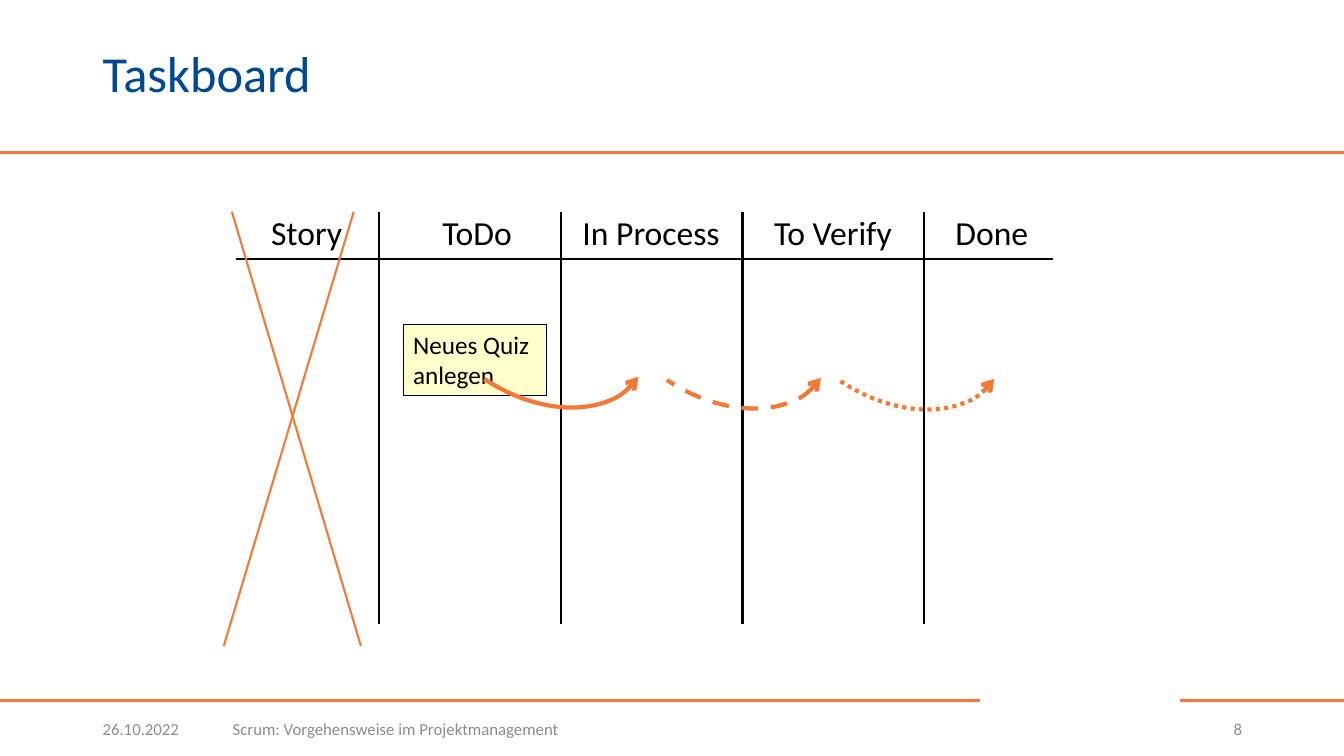
from lxml.etree import SubElement
from pptx import Presentation
from pptx.dml.color import RGBColor
from pptx.enum.dml import MSO_LINE
from pptx.enum.shapes import MSO_CONNECTOR, MSO_SHAPE
from pptx.enum.text import MSO_ANCHOR, MSO_AUTO_SIZE, PP_ALIGN
from pptx.oxml.ns import qn
from pptx.util import Pt

# Content (lengths in points)
TITLE = "Taskboard"
CARD = "Neues Quiz anlegen"
COLUMNS = [  # heading, left, width
    ("Story", 186.5, 65.5),
    ("ToDo", 308.9, 64.8),
    ("In Process", 409, 113),
    ("To Verify", 545.8, 99.4),
    ("Done", 675.4, 67),
]
FOOTER = [  # text, left, width, alignment
    ("26.10.2022", 66.2, 84.2, PP_ALIGN.LEFT),
    ("Scrum: Vorgehensweise im Projektmanagement", 159.1, 666.7, PP_ALIGN.LEFT),
    ("8", 837.4, 56.9, PP_ALIGN.RIGHT),
]
MOVES = [  # left, top, dash of each arrow between columns
    (318.2, 128.2, MSO_LINE.SOLID),
    (448.6, 128.9, MSO_LINE.DASH),
    (572.4, 129.6, MSO_LINE.ROUND_DOT),
]
FRAME_RULES = [(0, 108.7, 960), (0, 500.4, 699.8), (843.1, 500.4, 960)]  # left, y, right
CROSS = [(159.8, 461.5, 252.7, 151.2), (257.8, 461.5, 165.6, 151.2)]

# Board geometry
BOARD_TOP, BOARD_BOTTOM = 151.2, 445.7
BOARD_LEFT, BOARD_RIGHT, HEADING_LINE = 168.5, 752.4, 185
FIRST_DIVIDER, DIVIDER_STEP = 270.6, 129.9

FONT = "Calibri"
BLACK, BLUE, GREY, YELLOW = "000000", "004990", "8C8C8C", "FFFFCC"
FRAME_ORANGE, ORANGE = "F47936", "F47836"


def color(value):
    return RGBColor.from_string(value)


def write(shape, text, size, ink=BLACK, align=PP_ALIGN.LEFT, anchor=MSO_ANCHOR.TOP,
          wrap=True, grow=False, spacing=None):
    frame = shape.text_frame
    frame.word_wrap = wrap
    frame.auto_size = MSO_AUTO_SIZE.SHAPE_TO_FIT_TEXT if grow else MSO_AUTO_SIZE.NONE
    frame.vertical_anchor = anchor
    paragraph = frame.paragraphs[0]
    paragraph.alignment = align
    if spacing:
        paragraph.line_spacing = spacing
    run = paragraph.add_run()
    run.text = text
    run.font.name = FONT
    run.font.size = Pt(size)
    run.font.color.rgb = color(ink)


def add_text(slide, text, left, top, width, height, **style):
    box = slide.shapes.add_textbox(Pt(left), Pt(top), Pt(width), Pt(height))
    write(box, text, **style)


def add_line(slide, x1, y1, x2, y2, ink=BLACK, weight=1.5):
    line = slide.shapes.add_connector(MSO_CONNECTOR.STRAIGHT, Pt(x1), Pt(y1), Pt(x2), Pt(y2))
    line.line.color.rgb = color(ink)
    line.line.width = Pt(weight)
    SubElement(line.element.spPr, qn("a:effectLst"))


def add_shape(slide, kind, left, top, width, height, ink, weight, fill=None):
    shape = slide.shapes.add_shape(kind, Pt(left), Pt(top), Pt(width), Pt(height))
    shape.shadow.inherit = False
    if fill:
        shape.fill.solid()
        shape.fill.fore_color.rgb = color(fill)
    else:
        shape.fill.background()
    shape.line.color.rgb = color(ink)
    shape.line.width = Pt(weight)
    return shape


def add_move(slide, left, top, dash):
    arc = add_shape(slide, MSO_SHAPE.ARC, left, top, 124.6, 181.4, ORANGE, 3)
    arc.rotation = 123.7
    arc.line.dash_style = dash
    SubElement(arc.element.spPr.find(qn("a:ln")), qn("a:headEnd"), type="arrow")


def main():
    presentation = Presentation()
    presentation.slide_width, presentation.slide_height = Pt(960), Pt(540)
    slide = presentation.slides.add_slide(presentation.slide_layouts[5])

    # Frame lines and title
    for left, y, right in FRAME_RULES:
        add_line(slide, left, y, right, y, ink=FRAME_ORANGE, weight=2)
    title = slide.shapes.title
    title.left, title.top, title.width, title.height = Pt(66.2), Pt(12.2), Pt(828), Pt(85)
    write(title, TITLE, size=36, ink=BLUE, anchor=MSO_ANCHOR.MIDDLE, spacing=0.9)

    # Board grid and headings
    for index in range(len(COLUMNS) - 1):
        x = FIRST_DIVIDER + index * DIVIDER_STEP
        add_line(slide, x, BOARD_BOTTOM, x, BOARD_TOP)
    add_line(slide, BOARD_RIGHT, HEADING_LINE, BOARD_LEFT, HEADING_LINE)
    for heading, left, width in COLUMNS:
        add_text(slide, heading, left, 147.6, width, 36, size=24, wrap=False, grow=True)

    # Task card and its moves across the board
    card = add_shape(slide, MSO_SHAPE.RECTANGLE, 288, 231.8, 102.2, 51, BLACK, 0.75, YELLOW)
    write(card, CARD, size=18, grow=True)
    for move in MOVES:
        add_move(slide, *move)

    # Crossed-out story column
    for ends in CROSS:
        add_line(slide, *ends, ink=ORANGE)

    # Footer
    for text, left, width, align in FOOTER:
        add_text(slide, text, left, 506.2, width, 28.8, size=12, ink=GREY,
                 align=align, anchor=MSO_ANCHOR.MIDDLE)

    presentation.save("out.pptx")


if __name__ == "__main__":
    main()
